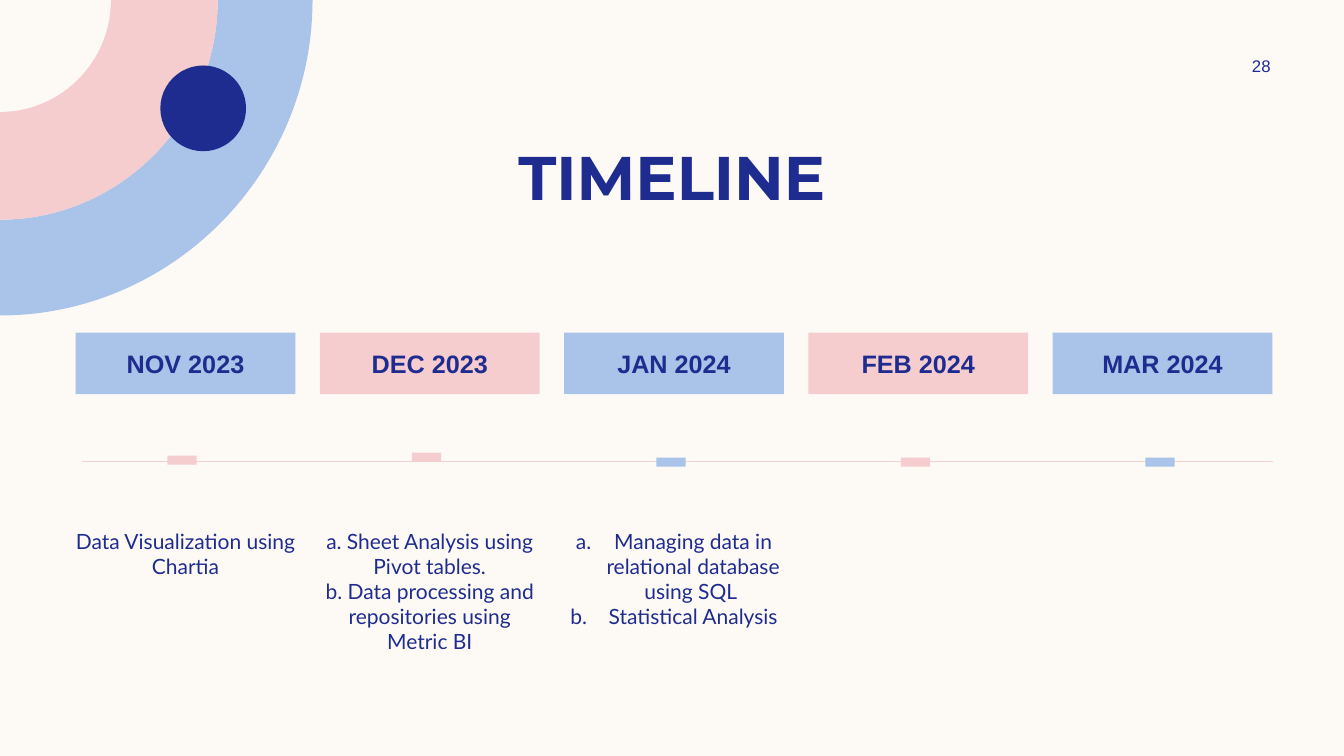
from dataclasses import dataclass

from lxml.etree import SubElement
from pptx import Presentation
from pptx.dml.color import RGBColor
from pptx.enum.shapes import MSO_CONNECTOR, MSO_SHAPE
from pptx.enum.text import MSO_ANCHOR, PP_ALIGN
from pptx.oxml.ns import qn
from pptx.util import Inches, Pt

CREAM = RGBColor(0xFD, 0xFA, 0xF6)
BLUE = RGBColor(0xAA, 0xC3, 0xE8)
PINK = RGBColor(0xF5, 0xCD, 0xCE)
NAVY = RGBColor(0x1F, 0x2C, 0x8F)
RULE = RGBColor(0xF2, 0xD1, 0xD1)

# Grid, in inches: five month columns from 0.75 to 10.44
LEFT, PITCH, COL_W = 0.75, (10.44 - 0.75) / 4, 2.18
MONTH_Y, MONTH_H = 3.3, 0.61
LINE_Y, TASK_Y = 4.58, 5.19
MARK_LEFT, MARK_PITCH, MARK_W, MARK_H = 1.76, (11.46 - 1.76) / 4, 0.09, 0.29

# Control point distance of a quarter circle, as a share of its radius
BEND = 0.55

Point = tuple[float, float]


@dataclass
class Month:
    label: str
    fill: RGBColor
    mark: RGBColor
    mark_y: float = 4.44
    tasks: tuple[str, ...] = ()
    numbered: bool = False
    task_h: float = 1.27


MONTHS = [
    Month("NOV 2023", BLUE, PINK, 4.42, ("Data Visualization using Chartia",), task_h=0.87),
    Month("DEC 2023", PINK, PINK, 4.39,
          ("a. Sheet Analysis using Pivot tables.",
           "b. Data processing and repositories using Metric BI")),
    Month("JAN 2024", BLUE, BLUE,
          tasks=("Managing data in relational database using SQL ", "Statistical Analysis"),
          numbered=True),
    Month("FEB 2024", PINK, PINK),
    Month("MAR 2024", BLUE, BLUE),
]


def paint(sp, fill: RGBColor) -> None:
    sp.shadow.inherit = False
    sp.fill.solid()
    sp.fill.fore_color.rgb = fill
    sp.line.fill.background()


def add_block(s, kind: MSO_SHAPE, x: float, y: float, w: float, h: float, fill: RGBColor):
    sp = s.shapes.add_shape(kind, Inches(x), Inches(y), Inches(w), Inches(h))
    paint(sp, fill)
    return sp


def add_box(s, x: float, y: float, w: float, h: float):
    return s.shapes.add_textbox(Inches(x), Inches(y), Inches(w), Inches(h))


def write(sp, lines: tuple[str, ...], font: str, size: float, bold: bool = False,
          anchor: MSO_ANCHOR = MSO_ANCHOR.MIDDLE, side: float = 0, numbered: bool = False) -> None:
    tf = sp.text_frame
    tf.word_wrap = True
    tf.vertical_anchor = anchor
    tf.margin_left = tf.margin_right = Inches(side)
    tf.margin_top = tf.margin_bottom = Inches(0.05)
    for i, line in enumerate(lines):
        p = tf.paragraphs[0] if i == 0 else tf.add_paragraph()
        p.alignment = PP_ALIGN.CENTER
        if numbered:
            pPr = p._p.get_or_add_pPr()
            pPr.set("marL", str(Inches(0.38)))
            pPr.set("indent", str(-Inches(0.38)))
            SubElement(pPr, qn("a:buAutoNum"), type="alphaLcPeriod")
        r = p.add_run()
        r.text = line
        r.font.name, r.font.size, r.font.bold = font, Pt(size), bold
        r.font.color.rgb = NAVY


def bend(segment, points: list[Point]) -> None:
    """Turn a straight freeform segment into a Bézier curve."""
    segment.tag = qn("a:cubicBezTo")
    for pt in list(segment):
        segment.remove(pt)
    for x, y in points:
        SubElement(segment, qn("a:pt"), x=str(Inches(x)), y=str(Inches(y)))


def add_quarter_ring(s, outer: Point, fill: RGBColor, inner: Point = (0, 0)) -> None:
    """Quarter ring around the top left corner; radii are (across, down)."""
    (ow, oh), (iw, ih) = outer, inner
    corners = [(iw, 0), (ow, 0), (0, oh), (0, ih)] + ([(iw, 0)] if iw else [])
    start, *rest = [(Inches(x), Inches(y)) for x, y in corners]
    fb = s.shapes.build_freeform(*start)
    fb.add_line_segments(rest, close=True)
    sp = fb.convert_to_shape()
    segments = list(sp._element.spPr.iter(qn("a:lnTo")))
    bend(segments[1], [(ow, BEND * oh), (BEND * ow, oh), (0, oh)])
    if iw:
        bend(segments[3], [(BEND * iw, ih), (iw, BEND * ih), (iw, 0)])
    paint(sp, fill)


def add_month(s, col: int, m: Month) -> None:
    x = LEFT + col * PITCH
    sp = add_block(s, MSO_SHAPE.RECTANGLE, x, MONTH_Y, COL_W, MONTH_H, m.fill)
    write(sp, (m.label,), "Arial", 18, bold=True)
    mark = add_block(s, MSO_SHAPE.RECTANGLE, MARK_LEFT + col * MARK_PITCH, m.mark_y,
                     MARK_W, MARK_H, m.mark)
    mark.rotation = 270
    if m.tasks:
        write(add_box(s, x, TASK_Y, COL_W, m.task_h), m.tasks, "Lato", 15,
              anchor=MSO_ANCHOR.TOP, numbered=m.numbered)


def main() -> None:
    prs = Presentation()
    prs.slide_width, prs.slide_height = Inches(13.33), Inches(7.5)
    s = prs.slides.add_slide(prs.slide_layouts[6])
    s.background.fill.solid()
    s.background.fill.fore_color.rgb = CREAM

    # Corner decoration
    add_quarter_ring(s, (3.1, 3.13), BLUE, inner=(2.16, 2.18))
    add_quarter_ring(s, (2.16, 2.18), PINK)
    add_quarter_ring(s, (1.1, 1.11), CREAM)
    add_block(s, MSO_SHAPE.OVAL, 1.59, 0.65, 0.85, 0.85, NAVY)

    # Time axis
    axis = s.shapes.add_connector(MSO_CONNECTOR.STRAIGHT, Inches(0.81), Inches(LINE_Y),
                                  Inches(12.63), Inches(LINE_Y))
    axis.line.color.rgb = RULE
    axis.line.width = Pt(1)
    SubElement(axis._element.spPr, qn("a:effectLst"))

    # Title and page number
    write(add_box(s, 0.83, 1.32, 11.67, 0.84), ("TIMELINE",), "Montserrat", 44, bold=True, side=0.1)
    write(add_box(s, 11.97, 0.5, 1.08, 0.3), ("28",), "Arial", 12, side=0.1)

    # Months with their markers and tasks
    for col, m in enumerate(MONTHS):
        add_month(s, col, m)

    prs.save("out.pptx")


if __name__ == "__main__":
    main()
